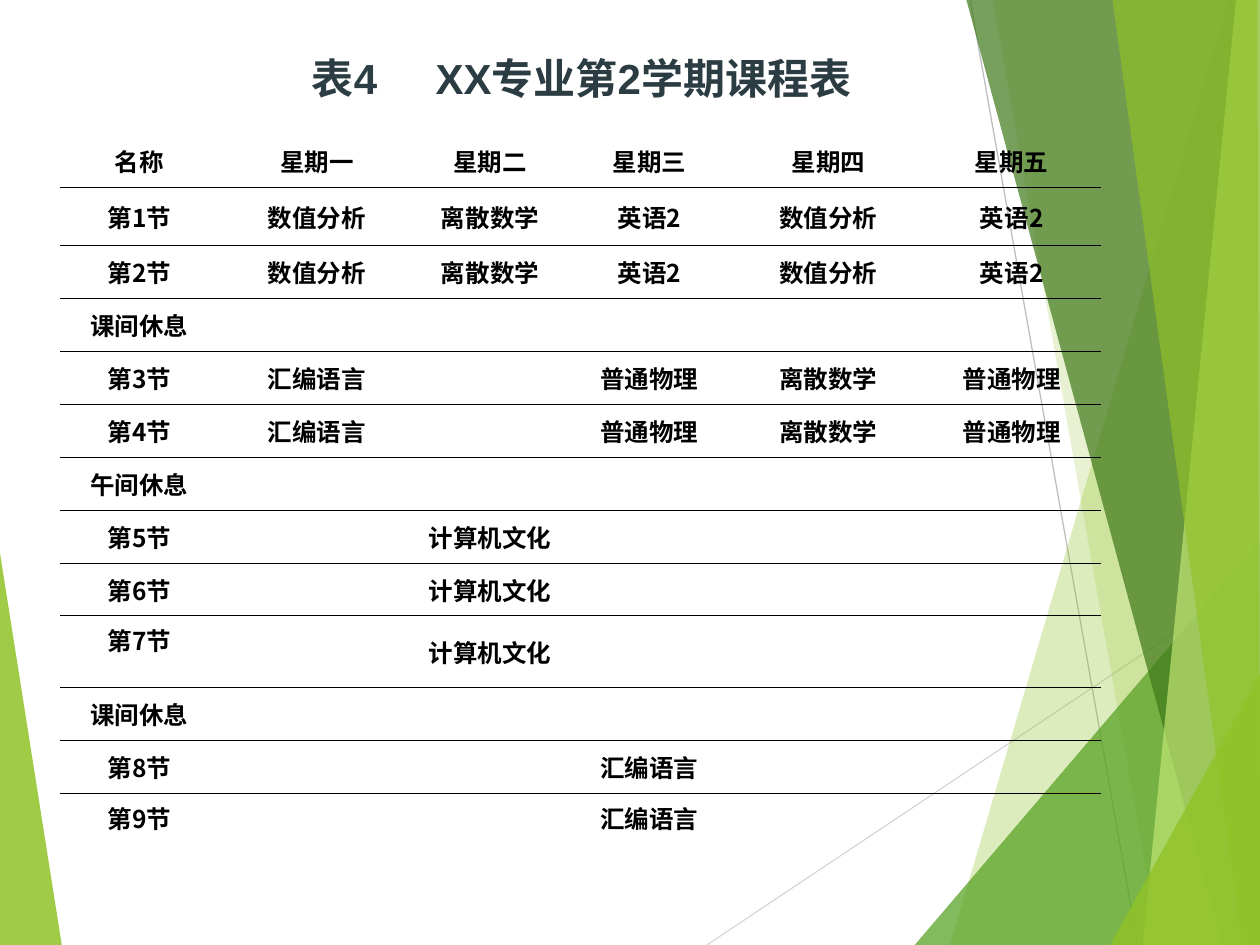
import pptx
import pptx.util
import pptx.dml.color
import pptx.enum.shapes
import pptx.enum.text
import pptx.oxml.ns
from lxml import etree
from pptx.util import Inches

COLORS = {
    "lime": "90C226",
    "green": "54A021",
    "forest": "3F7819",
    "pale": "C0E474",
    "light_gray": "D9D9D9",
    "gray": "BFBFBF",
    "black": "000000",
    "title": "2C3C43",
}
CJK_FONT = "Noto Sans CJK SC"
HEADER_FONT = "Times New Roman"

LINES = [
    ((5.61, 7.5), (10, 4.57), "light_gray"),
    ((7.7, 0), (9.03, 7.5), "gray"),
]
LEFT_FACET = ([(0, 4.39), (0.49, 7.5), (0, 7.5)], "lime", 85)
RIGHT_FACETS = [
    ([(9.75, 0), (7.54, 7.5), (10, 7.5), (10, 0)], "lime", 30),
    ([(7.88, 0), (9.2, 7.5), (10, 7.5), (10, 0)], "lime", 20),
    ([(7.26, 7.5), (10, 4.29), (10, 7.5)], "green", 72),
    ([(7.67, 0), (9.7, 7.5), (10, 7.5), (10, 0)], "forest", 70),
    ([(9.81, 0), (9.07, 7.5), (10, 7.5), (10, 0)], "pale", 70),
    ([(8.83, 0), (9.86, 7.5), (10, 7.5), (9.98, 0)], "lime", 65),
    ([(8.81, 7.5), (10, 5.35), (10, 7.5)], "lime", 80),
]

COLUMN_WIDTHS = [1.25, 1.57, 1.18, 1.35, 1.49, 1.42]
ROW_HEIGHT = 0.42
SPECIAL_HEIGHTS = {1: 0.46, 9: 0.57, 12: 0.39}
TOP_ANCHORED_CELL = (9, 0)
TIMETABLE = [
    ["名称", "星期一", "星期二", "星期三", "星期四", "星期五"],
    ["第1节", "数值分析", "离散数学", "英语2", "数值分析", "英语2"],
    ["第2节", "数值分析", "离散数学", "英语2", "数值分析", "英语2"],
    ["课间休息", "", "", "", "", ""],
    ["第3节", "汇编语言", "", "普通物理", "离散数学", "普通物理"],
    ["第4节", "汇编语言", "", "普通物理", "离散数学", "普通物理"],
    ["午间休息", "", "", "", "", ""],
    ["第5节", "", "计算机文化", "", "", ""],
    ["第6节", "", "计算机文化", "", "", ""],
    ["第7节", "", "计算机文化", "", "", ""],
    ["课间休息", "", "", "", "", ""],
    ["第8节", "", "", "汇编语言", "", ""],
    ["第9节", "", "", "汇编语言", "", ""],
]


def rgb(color):
    return pptx.dml.color.RGBColor.from_string(COLORS[color])


def add_child(parent, tag, **attributes):
    return etree.SubElement(parent, pptx.oxml.ns.qn(tag), **attributes)


def apply_format(target, values):
    for name, value in values.items():
        setattr(target, name, value)


def add_span(para, text, size, font, color):
    span = para.add_run()
    span.text = text
    apply_format(span.font, {"size": pptx.util.Pt(size), "name": font, "bold": True})
    span.font.color.rgb = rgb(color)
    add_child(span.font._element, "a:ea", typeface=CJK_FONT)
    return span


def add_facet(page, points, color, opacity):
    corners = [(Inches(x), Inches(y)) for x, y in points]
    builder = page.shapes.build_freeform(*corners[0])
    builder.add_line_segments(corners[1:], close=True)
    facet = builder.convert_to_shape()
    facet.shadow.inherit = False
    facet.line.fill.background()
    facet.fill.solid()
    facet.fill.fore_color.rgb = rgb(color)
    fill_color = facet.element.spPr.find(".//" + pptx.oxml.ns.qn("a:srgbClr"))
    add_child(fill_color, "a:alpha", val=str(opacity * 1000))


def add_line(page, start, end, color):
    line = page.shapes.add_connector(
        pptx.enum.shapes.MSO_CONNECTOR.STRAIGHT, *map(Inches, start + end)
    )
    line.line.width = pptx.util.Pt(0.75)
    line.line.color.rgb = rgb(color)
    add_child(line.element.spPr, "a:effectLst")


def set_borders(cell, has_top, has_bottom):
    properties = cell._tc.get_or_add_tcPr()
    sides = {"a:lnL": False, "a:lnR": False, "a:lnT": has_top, "a:lnB": has_bottom}
    for tag, visible in sides.items():
        border = add_child(properties, tag, w=str(pptx.util.Pt(0.45)))
        if visible:
            fill = add_child(border, "a:solidFill")
            add_child(fill, "a:srgbClr", val=COLORS["black"])
        else:
            add_child(border, "a:noFill")


def fill_cell(cell, row, column, text):
    set_borders(cell, row > 0, row < len(TIMETABLE) - 1)
    cell.fill.background()
    anchors = pptx.enum.text.MSO_ANCHOR
    side = Inches(0.1 if row == 0 or column == 0 else 0.01)
    edge = Inches(0.05 if text else 0)
    apply_format(cell, {
        "vertical_anchor": anchors.TOP if (row, column) == TOP_ANCHORED_CELL else anchors.MIDDLE,
        "margin_left": side,
        "margin_right": side,
        "margin_top": edge,
        "margin_bottom": edge,
    })
    if text:
        para = cell.text_frame.paragraphs[0]
        para.alignment = pptx.enum.text.PP_ALIGN.CENTER
        is_header = (row == 0 and column > 0) or text.endswith("休息")
        add_span(para, text, 14, HEADER_FONT if is_header else CJK_FONT, "black")


def add_timetable(page):
    heights = [SPECIAL_HEIGHTS.get(row, ROW_HEIGHT) for row in range(len(TIMETABLE))]
    table = page.shapes.add_table(
        len(heights), len(COLUMN_WIDTHS), Inches(0.48), Inches(1.07),
        Inches(sum(COLUMN_WIDTHS)), Inches(sum(heights)),
    ).table
    apply_format(table, {"first_row": False, "horz_banding": False})
    for column, width in zip(table.columns, COLUMN_WIDTHS):
        column.width = Inches(width)
    for row, height in zip(table.rows, heights):
        row.height = Inches(height)
    for row, texts in enumerate(TIMETABLE):
        for column, text in enumerate(texts):
            fill_cell(table.cell(row, column), row, column, text)


def format_title(page):
    title = page.shapes.title
    apply_format(title, {
        "left": Inches(0.53),
        "top": Inches(0.37),
        "width": Inches(8.17),
        "height": Inches(0.5),
    })
    frame = title.text_frame
    apply_format(frame, {
        "word_wrap": True,
        "auto_size": pptx.enum.text.MSO_AUTO_SIZE.NONE,
        "vertical_anchor": pptx.enum.text.MSO_ANCHOR.BOTTOM,
    })
    para = frame.paragraphs[0]
    para.alignment = pptx.enum.text.PP_ALIGN.CENTER
    spans = [add_span(para, text, 24, "Arial", "title")
             for text in ("表4", " ", "XX专业第2学期课程表")]
    spans[1].font._element.set("spc", "2670")
    title.element.getparent().append(title.element)


def main():
    deck = pptx.Presentation()
    apply_format(deck, {"slide_width": Inches(10), "slide_height": Inches(7.5)})
    page = deck.slides.add_slide(deck.slide_layouts[5])
    add_facet(page, *LEFT_FACET)
    for line in LINES:
        add_line(page, *line)
    for facet in RIGHT_FACETS:
        add_facet(page, *facet)
    add_timetable(page)
    format_title(page)
    deck.save("out.pptx")


if __name__ == "__main__":
    main()
